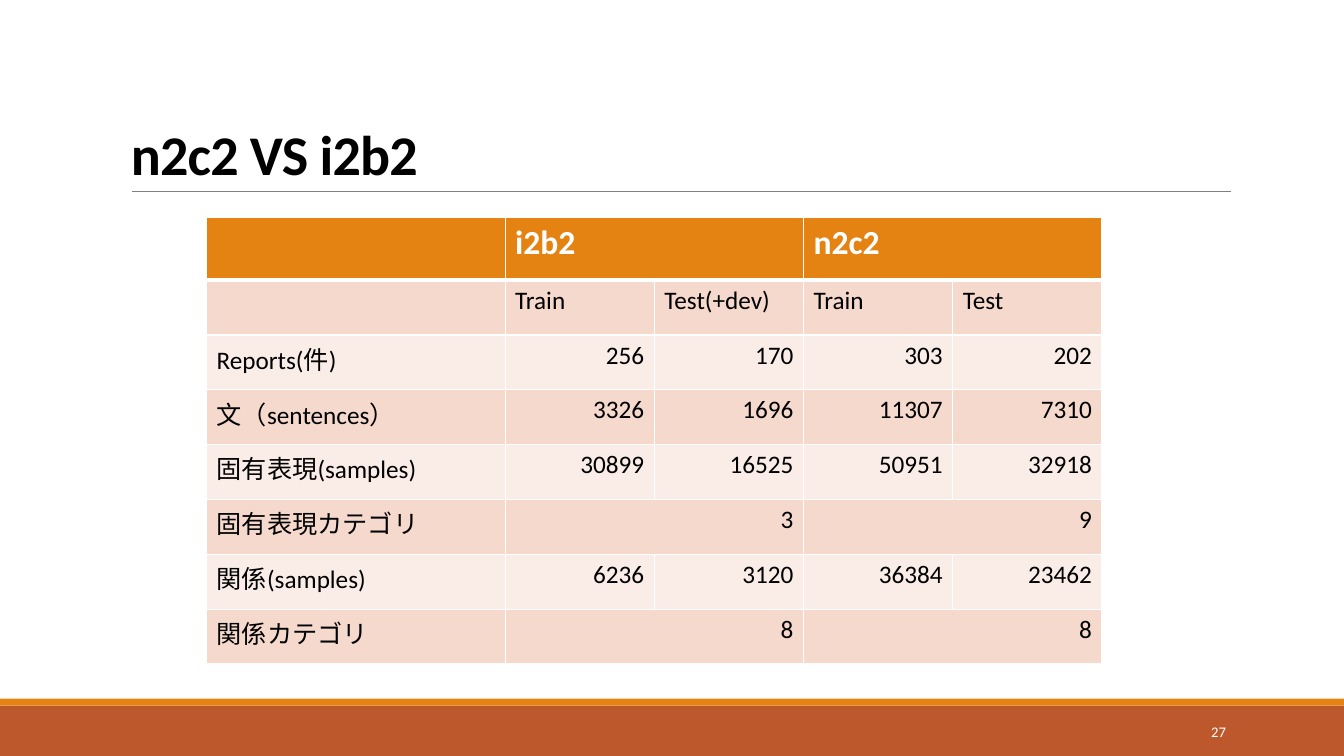
from lxml.etree import SubElement
from pptx import Presentation
from pptx.dml.color import RGBColor
from pptx.enum.shapes import MSO_CONNECTOR as Connector, MSO_SHAPE as Preset
from pptx.enum.text import MSO_ANCHOR as Anchor, PP_ALIGN as Align
from pptx.oxml.ns import qn
from pptx.util import Pt

WHITE = RGBColor(0xFF, 0xFF, 0xFF)
BLACK = RGBColor(0x00, 0x00, 0x00)
GRAY = RGBColor(0x80, 0x80, 0x80)
ORANGE = RGBColor(0xE4, 0x83, 0x12)
RUST = RGBColor(0xBD, 0x58, 0x2C)
BAND_DARK = RGBColor(0xF5, 0xD9, 0xCC)
BAND_LIGHT = RGBColor(0xFA, 0xED, 0xE7)

COLUMN_WIDTHS = [213.2] + [106.6] * 4
ROW_HEIGHTS = [44.6] + [39.2] * 7
ROWS = [
    ["", "i2b2", None, "n2c2", None],
    ["", "Train", "Test(+dev)", "Train", "Test"],
    ["Reports(件)", "256", "170", "303", "202"],
    ["文（sentences）", "3326", "1696", "11307", "7310"],
    ["固有表現(samples)", "30899", "16525", "50951", "32918"],
    ["固有表現カテゴリ", "3", None, "9", None],
    ["関係(samples)", "6236", "3120", "36384", "23462"],
    ["関係カテゴリ", "8", None, "8", None],
]


class SlideBuilder:
    font = "Calibri"

    def __init__(self, page):
        self.page = page

    def style(self, para, size, color, bold=False, align=Align.LEFT):
        para.alignment = align
        for span in para.runs:
            span.font.name = self.font
            span.font.size = Pt(size)
            span.font.bold = bold
            span.font.color.rgb = color

    def bar(self, top, height, color):
        shape = self.page.shapes.add_shape(Preset.RECTANGLE, 0, Pt(top), Pt(960), Pt(height))
        shape.shadow.inherit = False
        shape.fill.solid()
        shape.fill.fore_color.rgb = color
        shape.line.fill.background()

    def rule(self, left, right, y):
        line = self.page.shapes.add_connector(Connector.STRAIGHT, Pt(left), Pt(y), Pt(right), Pt(y))
        line.line.color.rgb = GRAY
        line.line.width = Pt(0.5)
        SubElement(line._element.spPr, qn("a:effectLst"))

    def text(self, words, left, top, width, height, size, color, anchor, **look):
        box = self.page.shapes.add_textbox(Pt(left), Pt(top), Pt(width), Pt(height))
        frame = box.text_frame
        frame.word_wrap = True
        frame.vertical_anchor = anchor
        frame.text = words
        para = frame.paragraphs[0]
        self.style(para, size, color, **look)
        return para

    def border(self, cell, side, width):
        line = SubElement(cell._tc.get_or_add_tcPr(), qn(f"a:ln{side}"), w=str(Pt(width)))
        fill = SubElement(line, qn("a:solidFill"))
        SubElement(fill, qn("a:srgbClr"), val=str(WHITE))

    def cell(self, cell, words, row):
        for side in "LRTB":
            thick = (row, side) in [(0, "B"), (1, "T")]
            self.border(cell, side, 3 if thick else 1)
        cell.fill.solid()
        cell.fill.fore_color.rgb = ORANGE if row == 0 else BAND_DARK if row % 2 else BAND_LIGHT
        if words:
            cell.text = words
            header = row == 0
            self.style(cell.text_frame.paragraphs[0], 24 if header else 18,
                       WHITE if header else BLACK, bold=header,
                       align=Align.RIGHT if words.isdigit() else Align.LEFT)

    def table(self, rows, left, top, widths, heights):
        frame = self.page.shapes.add_table(len(rows), len(widths), Pt(left), Pt(top),
                                           Pt(sum(widths)), Pt(sum(heights)))
        table = frame.table
        for column, width in zip(table.columns, widths):
            column.width = Pt(width)
        for row, height in zip(table.rows, heights):
            row.height = Pt(height)
        for r, values in enumerate(rows):
            for c, words in enumerate(values):
                self.cell(table.cell(r, c), words, r)
                if words is None:
                    table.cell(r, c - 1).merge(table.cell(r, c))


def main():
    deck = Presentation()
    deck.slide_width, deck.slide_height = Pt(960), Pt(540)
    builder = SlideBuilder(deck.slides.add_slide(deck.slide_layouts[6]))
    builder.bar(504, 36, RUST)
    builder.bar(499, 5, ORANGE)
    builder.rule(94.3, 879.1, 136.8)
    title = builder.text("n2c2 VS i2b2", 86.4, 22.3, 792, 114.5, 40, BLACK, Anchor.BOTTOM, bold=True)
    title.line_spacing = 0.85
    title.runs[0].font._element.set("spc", "-50")
    builder.text("27", 779.8, 508.3, 103, 28.8, 10.5, WHITE, Anchor.MIDDLE, align=Align.RIGHT)
    builder.table(ROWS, 147.6, 155.5, COLUMN_WIDTHS, ROW_HEIGHTS)
    deck.save("out.pptx")


if __name__ == "__main__":
    main()
